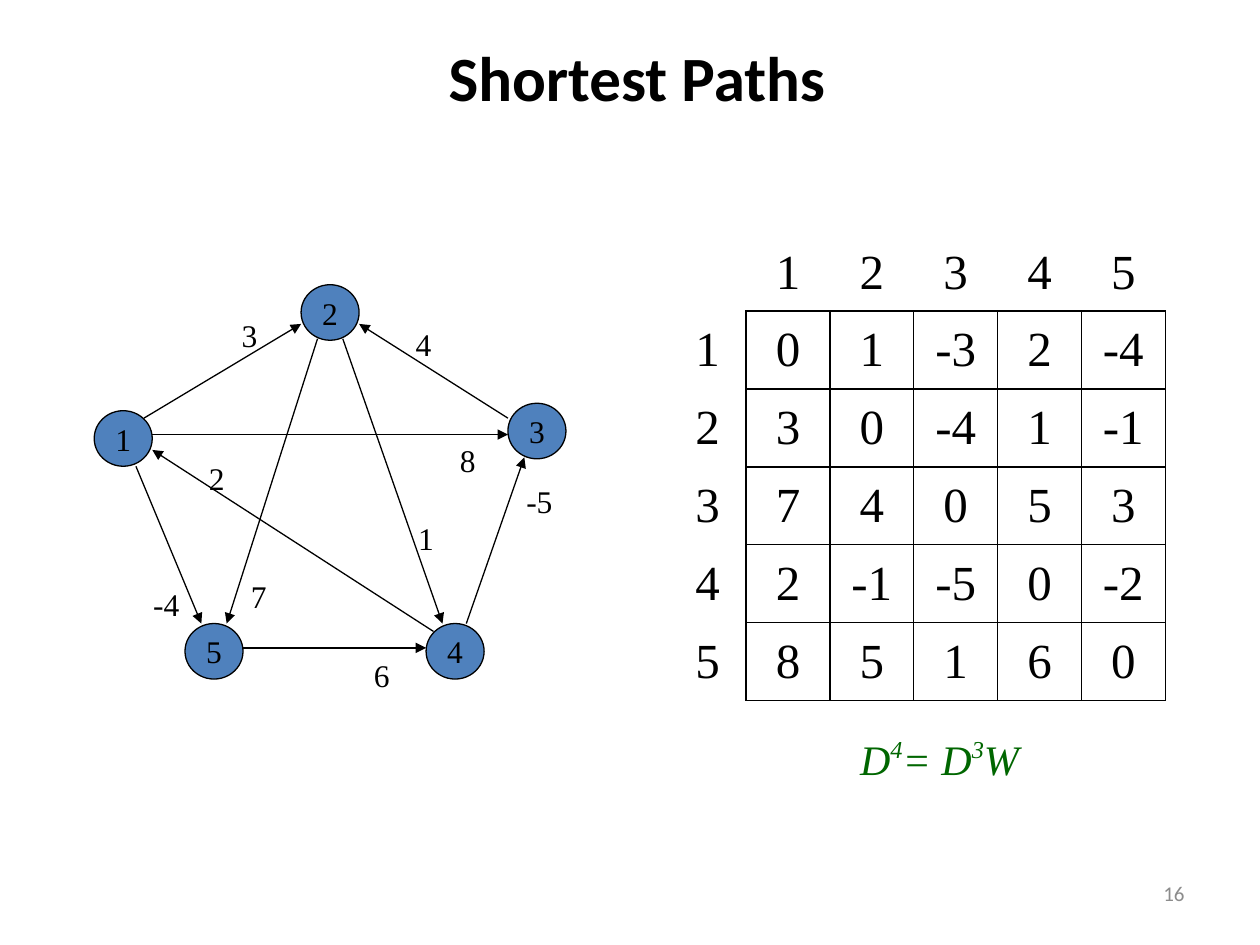
"""Build a slide with a weighted directed graph and its shortest-path matrix."""

from dataclasses import dataclass

from lxml import etree
from pptx import Presentation
from pptx.dml.color import RGBColor
from pptx.enum.shapes import MSO_CONNECTOR, MSO_SHAPE
from pptx.enum.text import MSO_ANCHOR, MSO_AUTO_SIZE, PP_ALIGN
from pptx.oxml.ns import qn
from pptx.slide import Slide
from pptx.table import _Cell
from pptx.text.text import TextFrame
from pptx.util import Cm, Pt

LEFT, CENTER, RIGHT = PP_ALIGN.LEFT, PP_ALIGN.CENTER, PP_ALIGN.RIGHT
TOP, MIDDLE = MSO_ANCHOR.TOP, MSO_ANCHOR.MIDDLE
FIT_SHAPE = MSO_AUTO_SIZE.SHAPE_TO_FIT_TEXT
OVAL = MSO_SHAPE.OVAL
STRAIGHT = MSO_CONNECTOR.STRAIGHT


@dataclass(frozen=True)
class TextStyle:
    font: str
    size: float
    color: str = "000000"
    bold: bool = False
    italic: bool = False


@dataclass(frozen=True)
class Theme:
    title: TextStyle = TextStyle("Calibri", 36, bold=True)
    page: TextStyle = TextStyle("Calibri", 12, "8C8C8C")
    graph: TextStyle = TextStyle("Times New Roman", 18)
    matrix: TextStyle = TextStyle("Times New Roman", 28)
    formula: TextStyle = TextStyle("Times New Roman", 24, "006600", italic=True)
    node_fill: str = "4F81BD"
    line: str = "000000"
    graph_line: float = 0.75
    table_line: float = 1
    superscript: int = 40000


@dataclass(frozen=True)
class Run:
    text: str
    raised: bool = False


@dataclass(frozen=True)
class Box:
    left: float
    top: float
    width: float
    height: float

    def lengths(self) -> tuple[Cm, Cm, Cm, Cm]:
        return Cm(self.left), Cm(self.top), Cm(self.width), Cm(self.height)


@dataclass(frozen=True)
class Node:
    name: str
    left: float
    top: float


@dataclass(frozen=True)
class Edge:
    start: tuple[float, float]
    end: tuple[float, float]
    weight: str
    label: tuple[float, float]


THEME = Theme()
NODE_WIDTH, NODE_HEIGHT = 1.17, 1.12
LABEL_HEIGHT = 1.02
NODES = [
    Node("1", 1.9, 8.28),
    Node("2", 6.07, 5.74),
    Node("3", 10.24, 8.13),
    Node("4", 8.59, 12.57),
    Node("5", 3.73, 12.57),
]
EDGES = [
    Edge((2.9, 8.43), (6.07, 6.53), "3", (4.62, 6.25)),
    Edge((10.24, 8.43), (7.24, 6.53), "4", (8.13, 6.43)),
    Edge((9.4, 12.57), (10.57, 9.22), "-5", (10.36, 9.6)),
    Edge((4.9, 13.06), (8.59, 13.06), "6", (7.29, 13.11)),
    Edge((2.74, 9.4), (4.06, 12.57), "-4", (2.84, 11.66)),
    Edge((6.4, 6.83), (4.57, 12.57), "7", (4.81, 11.51)),
    Edge((6.91, 6.83), (8.92, 12.57), "1", (8.18, 10.34)),
    Edge((8.74, 12.73), (3.07, 9.07), "2", (3.96, 9.12)),
    Edge((3.07, 8.76), (10.24, 8.76), "8", (9.02, 8.76)),
]
DISTANCES = [
    [0, 1, -3, 2, -4],
    [3, 0, -4, 1, -1],
    [7, 4, 0, 5, 3],
    [2, -1, -5, 0, -2],
    [8, 5, 1, 6, 0],
]


def write_text(frame: TextFrame, runs: list[Run], style: TextStyle,
               alignment: PP_ALIGN = LEFT) -> None:
    paragraph = frame.paragraphs[0]
    paragraph.alignment = alignment
    for item in runs:
        run = paragraph.add_run()
        run.text = item.text
        run.font.name = style.font
        run.font.size = Pt(style.size)
        run.font.bold = style.bold
        run.font.italic = style.italic
        run.font.color.rgb = RGBColor.from_string(style.color)
        if item.raised:
            run._r.get_or_add_rPr().set("baseline", str(THEME.superscript))


def add_text(slide: Slide, box: Box, runs: list[Run], style: TextStyle,
             alignment: PP_ALIGN = LEFT, anchor: MSO_ANCHOR = TOP,
             wrap: bool = True) -> None:
    frame = slide.shapes.add_textbox(*box.lengths()).text_frame
    frame.word_wrap = wrap
    frame.vertical_anchor = anchor
    if not wrap:
        frame.auto_size = FIT_SHAPE
    write_text(frame, runs, style, alignment)


def add_node(slide: Slide, node: Node) -> None:
    box = Box(node.left, node.top, NODE_WIDTH, NODE_HEIGHT)
    shape = slide.shapes.add_shape(OVAL, *box.lengths())
    shape.shadow.inherit = False
    shape.fill.solid()
    shape.fill.fore_color.rgb = RGBColor.from_string(THEME.node_fill)
    shape.line.color.rgb = RGBColor.from_string(THEME.line)
    shape.line.width = Pt(THEME.graph_line)
    shape.text_frame.word_wrap = False
    shape.text_frame.vertical_anchor = MIDDLE
    write_text(shape.text_frame, [Run(node.name)], THEME.graph, CENTER)


def add_edge(slide: Slide, edge: Edge) -> None:
    points = [Cm(value) for value in edge.start + edge.end]
    connector = slide.shapes.add_connector(STRAIGHT, *points)
    connector.line.color.rgb = RGBColor.from_string(THEME.line)
    connector.line.width = Pt(THEME.graph_line)
    line = connector.line._get_or_add_ln()
    etree.SubElement(line, qn("a:tailEnd"), type="triangle")
    etree.SubElement(connector._element.spPr, qn("a:effectLst"))


def add_weight(slide: Slide, edge: Edge) -> None:
    width = 0.84 if len(edge.weight) == 1 else 1.04
    box = Box(*edge.label, width, LABEL_HEIGHT)
    add_text(slide, box, [Run(edge.weight)], THEME.graph, wrap=False)


def set_borders(cell: _Cell, visible: str) -> None:
    properties = cell._tc.get_or_add_tcPr()
    for side in "LRTB":
        line = etree.SubElement(properties, qn(f"a:ln{side}"),
                                w=str(Pt(THEME.table_line)))
        if side in visible:
            fill = etree.SubElement(line, qn("a:solidFill"))
            etree.SubElement(fill, qn("a:srgbClr"), val=THEME.line)
        else:
            etree.SubElement(line, qn("a:noFill"))


def add_matrix(slide: Slide, box: Box, header_width: float, header_height: float) -> None:
    count = len(DISTANCES)
    names = [str(number) for number in range(1, count + 1)]
    rows = [["", *names]] + [[name, *map(str, values)]
                             for name, values in zip(names, DISTANCES)]
    table = slide.shapes.add_table(count + 1, count + 1, *box.lengths()).table
    table.first_row = table.horz_banding = False
    for index in range(count + 1):
        table.columns[index].width = Cm(
            (box.width - header_width) / count if index else header_width)
        table.rows[index].height = Cm(
            (box.height - header_height) / count if index else header_height)
    for row, values in enumerate(rows):
        for column, value in enumerate(values):
            cell = table.cell(row, column)
            visible = "LRTB" if row and column else "R" if row else "B" if column else ""
            set_borders(cell, visible)
            cell.fill.background()
            cell.vertical_anchor = MIDDLE
            if value:
                write_text(cell.text_frame, [Run(value)], THEME.matrix, CENTER)


def main() -> None:
    presentation = Presentation()
    presentation.slide_width, presentation.slide_height = Cm(25.4), Cm(19.05)
    slide = presentation.slides.add_slide(presentation.slide_layouts[6])
    add_text(slide, Box(18.21, 17.35, 5.92, 1.32), [Run("16")], THEME.page, RIGHT, MIDDLE)
    add_matrix(slide, Box(13.49, 4.72, 10, 9.4), 1.55, 1.55)
    formula = [Run("D"), Run("4", True), Run("= D"), Run("3", True), Run("W")]
    add_text(slide, Box(17.09, 14.66, 4.01, 1.27), formula, THEME.formula, wrap=False)
    for node in NODES:
        add_node(slide, node)
    for edge in EDGES:
        add_edge(slide, edge)
    for edge in EDGES:
        add_weight(slide, edge)
    add_text(slide, Box(1.41, 0.76, 22.86, 1.55), [Run("Shortest Paths")],
             THEME.title, CENTER, MIDDLE)
    presentation.save("out.pptx")


if __name__ == "__main__":
    main()
